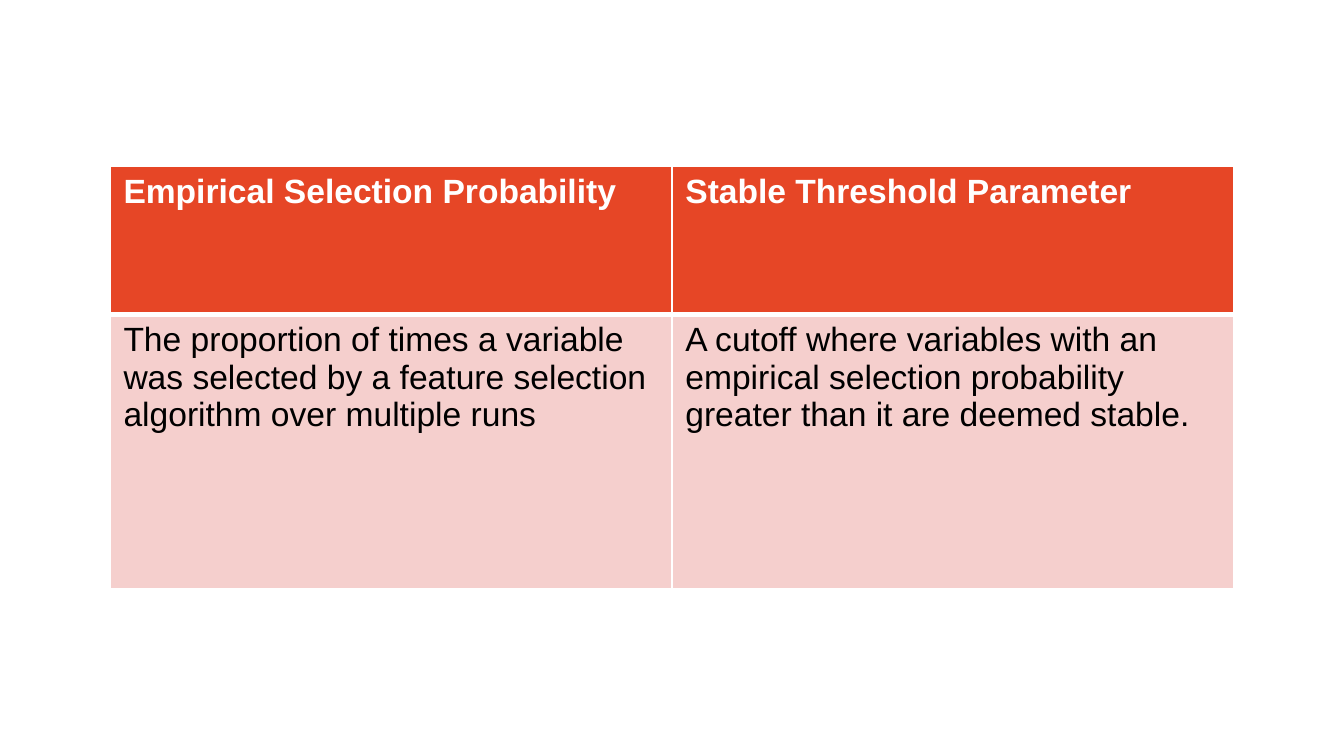
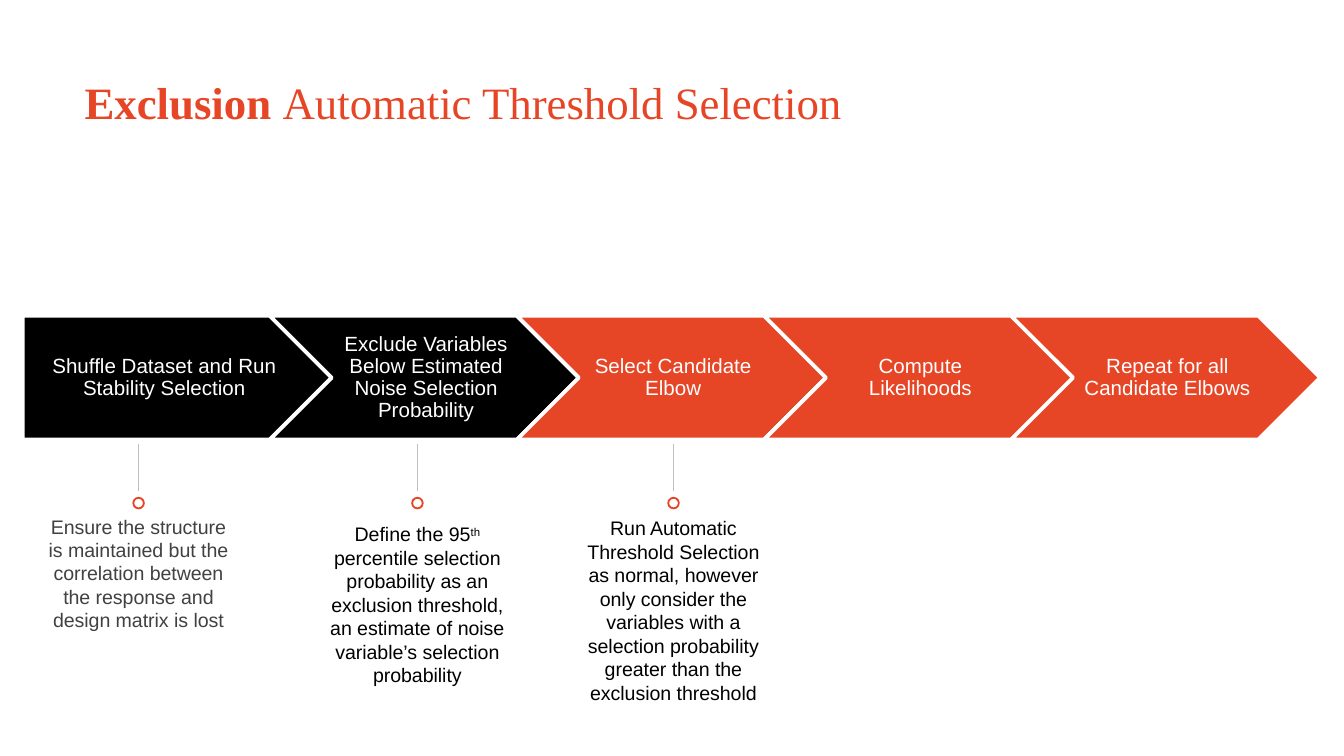
from lxml import etree
from pptx import Presentation
from pptx.dml.color import RGBColor
from pptx.enum.shapes import MSO_CONNECTOR, MSO_SHAPE
from pptx.enum.text import MSO_ANCHOR, MSO_AUTO_SIZE, PP_ALIGN
from pptx.oxml.ns import qn
from pptx.util import Cm, Pt

ORANGE = RGBColor(0xE6, 0x46, 0x26)
PINK = RGBColor(0xF5, 0xCF, 0xCD)
BLACK = RGBColor(0, 0, 0)
WHITE = RGBColor(0xFF, 0xFF, 0xFF)
DARK_GREY = RGBColor(0x41, 0x41, 0x41)
LINE_GREY = RGBColor(0xBF, 0xBF, 0xBF)

LEFT, CENTER = PP_ALIGN.LEFT, PP_ALIGN.CENTER
MIDDLE = MSO_ANCHOR.MIDDLE
GROW = MSO_AUTO_SIZE.SHAPE_TO_FIT_TEXT
PENTAGON, CHEVRON, OVAL = MSO_SHAPE.PENTAGON, MSO_SHAPE.CHEVRON, MSO_SHAPE.OVAL
STRAIGHT = MSO_CONNECTOR.STRAIGHT


def write_text(frame, runs, size=18, color=BLACK, font="Arial", align=LEFT, spacing=None):
    """Fill a frame with one paragraph; each run is (text, bold, raised)."""
    paragraph = frame.paragraphs[0]
    paragraph.alignment = align
    if spacing:
        paragraph.line_spacing = spacing
    for text, bold, raised in runs:
        run = paragraph.add_run()
        run.text = text
        run.font.name = font
        run.font.size = Pt(size)
        run.font.bold = bold
        run.font.color.rgb = color
        if raised:
            run.font._element.set("baseline", "30000")


def plain(text, bold=False):
    return [(text, bold, False)]


def set_margins(frame, *margins):
    (frame.margin_left, frame.margin_top,
     frame.margin_right, frame.margin_bottom) = [Cm(m) for m in margins]


def set_borders(cell, **widths):
    properties = cell._tc.get_or_add_tcPr()
    for position, (side, width) in enumerate(widths.items()):
        line = etree.Element(qn(f"a:ln{side}"), w=str(Pt(width)))
        fill = etree.SubElement(line, qn("a:solidFill"))
        etree.SubElement(fill, qn("a:srgbClr"), val=str(WHITE))
        properties.insert(position, line)


class Deck:
    def __init__(self):
        self.presentation = Presentation()
        self.presentation.slide_width = Cm(25.4)
        self.presentation.slide_height = Cm(14.29)
        self.slide = None

    def new_slide(self):
        self.slide = self.presentation.slides.add_slide(self.presentation.slide_layouts[6])

    def text(self, left, top, width, height, runs, margins=None, grow=False, **style):
        box = self.slide.shapes.add_textbox(Cm(left), Cm(top), Cm(width), Cm(height))
        box.text_frame.word_wrap = True
        if margins:
            set_margins(box.text_frame, *margins)
        if grow:
            box.text_frame.auto_size = GROW
        write_text(box.text_frame, runs, **style)

    def shape(self, kind, left, top, width, height, fill, line, line_width):
        shape = self.slide.shapes.add_shape(kind, Cm(left), Cm(top), Cm(width), Cm(height))
        shape.shadow.inherit = False
        shape.fill.solid()
        shape.fill.fore_color.rgb = fill
        shape.line.color.rgb = line
        shape.line.width = Pt(line_width)
        return shape

    def step(self, kind, left, top, width, height, label, fill, left_margin):
        arrow = self.shape(kind, left, top, width, height, fill, WHITE, 2)
        frame = arrow.text_frame
        frame.word_wrap = True
        frame.vertical_anchor = MIDDLE
        set_margins(frame, left_margin, 0.08, 0.05, 0.08)
        write_text(frame, plain(label), size=11, color=WHITE, align=CENTER, spacing=0.9)

    def vertical_line(self, x, start, end):
        line = self.slide.shapes.add_connector(STRAIGHT, Cm(x), Cm(start), Cm(x), Cm(end))
        line.line.color.rgb = LINE_GREY
        line.line.width = Pt(0.75)
        etree.SubElement(line._element.spPr, qn("a:effectLst"))

    def table(self, left, top, column_width, row_heights, rows):
        columns = len(rows[0])
        table = self.slide.shapes.add_table(
            len(rows), columns, Cm(left), Cm(top),
            Cm(column_width * columns), Cm(sum(row_heights))).table
        for column in table.columns:
            column.width = Cm(column_width)
        for r, (height, texts) in enumerate(zip(row_heights, rows)):
            header = r == 0
            table.rows[r].height = Cm(height)
            for c, text in enumerate(texts):
                cell = table.cell(r, c)
                cell.fill.solid()
                cell.fill.fore_color.rgb = ORANGE if header else PINK
                set_borders(cell, L=1, R=1, T=1 if header else 3, B=3 if header else 1)
                write_text(cell.text_frame, plain(text, header),
                           color=WHITE if header else BLACK)


def build_definitions(deck):
    deck.new_slide()
    deck.table(2.08, 3.15, 10.62, [2.79, 5.18], [
        ["Empirical Selection Probability", "Stable Threshold Parameter"],
        ["The proportion of times a variable was selected by a feature selection "
         "algorithm over multiple runs",
         "A cutoff where variables with an empirical selection probability greater "
         "than it are deemed stable."],
    ])


def build_exclusion(deck):
    deck.new_slide()
    deck.text(1.6, 1.42, 22.2, 1.02,
              [("Exclusion ", True, False), ("Automatic Threshold Selection", False, False)],
              margins=(0, 0, 0, 0), size=24, color=ORANGE, font="Times New Roman")

    # Process arrows
    steps = [
        ("Shuffle Dataset and Run Stability Selection", BLACK),
        ("Exclude Variables Below Estimated Noise Selection Probability", BLACK),
        ("Select Candidate Elbow", ORANGE),
        ("Compute Likelihoods", ORANGE),
        ("Repeat for all Candidate Elbows", ORANGE),
    ]
    for i, (label, fill) in enumerate(steps):
        kind, left_margin = (CHEVRON, 0.12) if i else (PENTAGON, 0.15)
        deck.step(kind, 0.43 + 4.67 * i, 5.97, 5.84, 2.34, label, fill, left_margin)

    # Explanations hanging below the arrows: centre, text top, height, colour, runs
    notes = [
        (2.62, 9.6, 2.49, DARK_GREY, plain(
            "Ensure the structure is maintained but the correlation between the "
            "response and design matrix is lost")),
        (7.89, 9.75, 3.4, BLACK, [
            ("Define the 95", False, False), ("th", False, True),
            (" percentile selection probability as an exclusion threshold, an estimate "
             "of noise variable’s selection probability", False, False)]),
        (12.73, 9.63, 3.84, BLACK, plain(
            "Run Automatic Threshold Selection as normal, however only consider the "
            "variables with a selection probability greater than the exclusion threshold")),
    ]
    note_width, dot = 3.99, 0.2
    for center, top, height, color, runs in notes:
        deck.text(center - note_width / 2, top, note_width, height, runs,
                  grow=True, size=10.5, color=color, align=CENTER)
        deck.shape(OVAL, center - dot / 2, 9.41, dot, dot, WHITE, ORANGE, 1)
        deck.vertical_line(center, 9.29, 8.4)


def main():
    deck = Deck()
    build_definitions(deck)
    build_exclusion(deck)
    deck.presentation.save("out.pptx")


if __name__ == "__main__":
    main()
